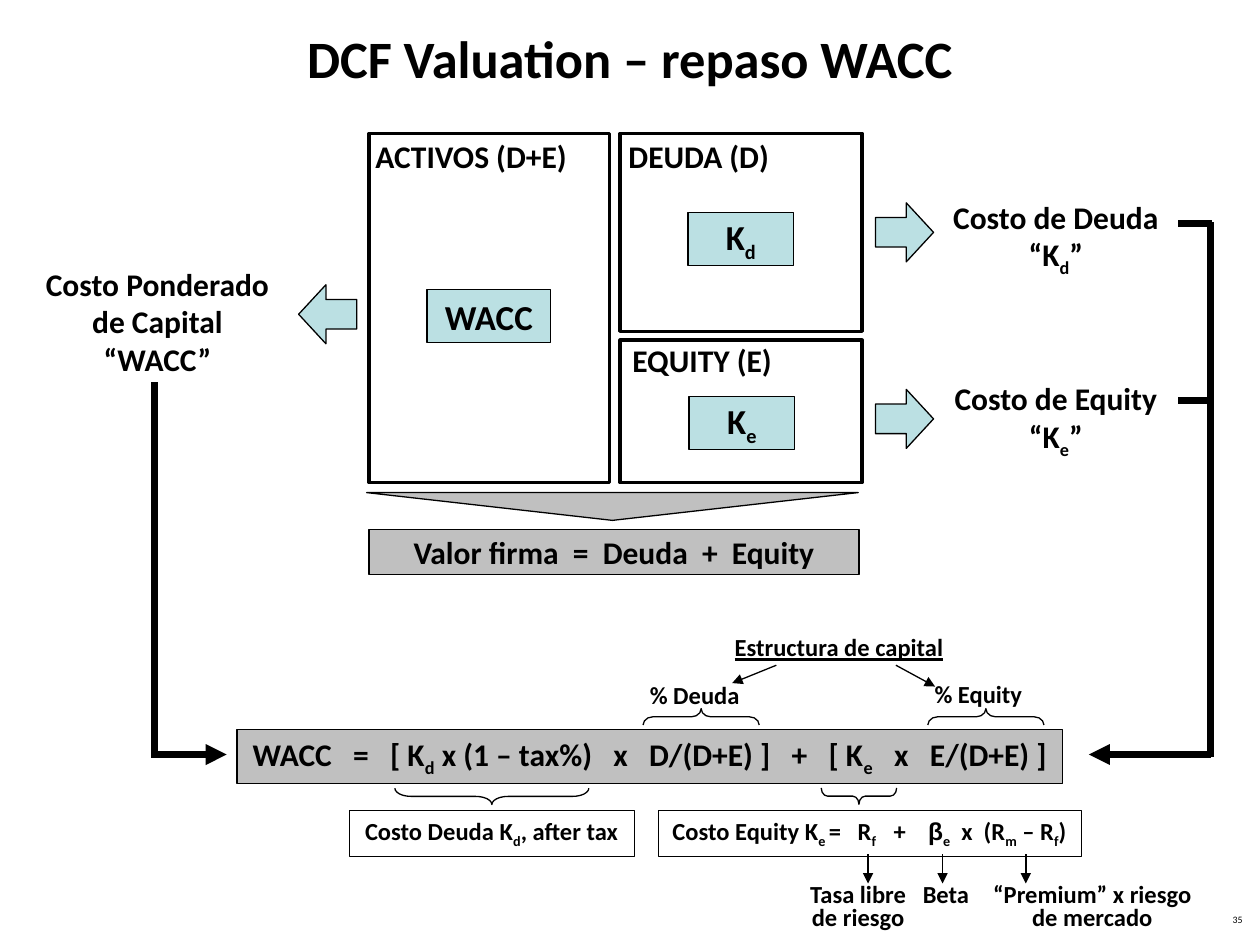
"""Builds the WACC review slide: capital structure, cost of capital and formula."""
from lxml import etree
from pptx import Presentation
from pptx import util as u
from pptx.dml import color
from pptx.enum import shapes, text
from pptx.oxml import ns

COLORS = {"ink": "000000", "paper": "FFFFFF", "accent": "BBE0E3", "band": "C0C0C0"}
KIND = shapes.MSO_SHAPE
LEFT, CENTER, RIGHT = text.PP_ALIGN.LEFT, text.PP_ALIGN.CENTER, text.PP_ALIGN.RIGHT
TOP, MIDDLE = text.MSO_ANCHOR.TOP, text.MSO_ANCHOR.MIDDLE


def draw(kind, place, fill, width, rotation=0):
    """Adds a preset shape with an ink outline; place is in centimetres."""
    shape = slide.shapes.add_shape(kind, *map(u.Cm, place))
    shape.shadow.inherit = False
    shape.rotation = rotation
    if fill:
        shape.fill.solid()
        shape.fill.fore_color.rgb = color.RGBColor.from_string(COLORS[fill])
    else:
        shape.fill.background()
    shape.line.color.rgb = color.RGBColor.from_string(COLORS["ink"])
    shape.line.width = u.Pt(width)
    return shape


def write(shape, wording, size, align=CENTER, anchor=TOP, wrap=True, spacing=None, bold=True, underline=None):
    """Fills a shape with runs; every second part between underscores is subscript."""
    frame = shape.text_frame
    frame.word_wrap = wrap
    frame.vertical_anchor = anchor
    paragraph = frame.paragraphs[0]
    paragraph.alignment = align
    if spacing:
        paragraph.line_spacing = spacing
    for index, part in enumerate(wording.split("_")):
        if not part:
            continue
        run = paragraph.add_run()
        run.text = part
        run.font.name = "Arial" if part == "β" else "Calibri"
        run.font.size = u.Pt(size)
        run.font.bold = bold
        run.font.underline = underline
        run.font.color.rgb = color.RGBColor.from_string(COLORS["ink"])
        if index % 2:
            run.font._element.set("baseline", "-25000")


deck = Presentation()
deck.slide_width, deck.slide_height = u.Cm(25.4), u.Cm(19.05)
slide = deck.slides.add_slide(deck.slide_layouts[6])

page_number = slide.shapes.add_textbox(u.Cm(19.38), u.Cm(18.34), u.Cm(5.92), u.Cm(0.53))
write(page_number, "35", 5.6, RIGHT, spacing=0.8, bold=False)
title = slide.shapes.add_textbox(0, 0, u.Cm(25.4), u.Cm(2.31))
write(title, "DCF Valuation – repaso WACC", 30, anchor=MIDDLE)

for block in [(7.44, 2.69, 4.85, 7.04), (12.5, 2.69, 4.88, 3.99), (12.5, 6.86, 4.88, 2.87)]:
    draw(KIND.RECTANGLE, block, "paper", 2)

for wording, place in [
    ("DEUDA (D)", (12.42, 2.64, 3.35, 1.02)),
    ("EQUITY (E)", (12.5, 6.76, 3.33, 1.02)),
    ("ACTIVOS (D+E)", (7.32, 2.64, 4.37, 1.02)),
]:
    heading = slide.shapes.add_textbox(*map(u.Cm, place))
    write(heading, wording, 18, LEFT, wrap=False)

for wording, place, fill, size in [
    ("WACC", (8.61, 5.84, 2.49, 1.07), "accent", 20),
    ("K_d_", (13.87, 4.29, 2.13, 1.07), "accent", 20),
    ("K_e_", (13.89, 8, 2.13, 1.07), "accent", 20),
    ("WACC   =   [ K_d_ x (1 – tax%)   x   D/(D+E) ]   +   [ K_e_   x   E/(D+E) ]",
     (4.78, 14.71, 16.64, 1.09), "band", 18),
    ("Valor firma  =  Deuda  +  Equity", (7.44, 10.67, 9.88, 0.91), "band", 18),
]:
    write(draw(KIND.RECTANGLE, place, fill, 0.75), wording, size, anchor=MIDDLE, wrap=False)

brace_depth = 0.33
for left, top, span, rotation in [
    (9.75, 14.1, 3.91, 90),
    (17.15, 15.29, 1.52, 90),
    (13.97, 13.28, 2.34, 270),
    (19.71, 13.28, 2.34, 270),
]:
    brace = draw(KIND.RIGHT_BRACE, (left, top, brace_depth, span), None, 0.75, rotation)
    brace.adjustments[0] = span / 12 / brace_depth

draw(KIND.ISOSCELES_TRIANGLE, (7.39, 9.93, 9.91, 0.56), "band", 0.75, 180)

for left, top, rotation in [(17.65, 4.09, 0), (17.65, 7.85, 0), (6.02, 5.74, 180)]:
    arrow = draw(KIND.RIGHT_ARROW, (left, top, 1.17, 1.19), "accent", 0.75, rotation)
    arrow.adjustments[0], arrow.adjustments[1] = 0.5, 0.47

for wording, place, size, align, spacing, underline in [
    ("% Deuda", (12.85, 13.59, 2.64, 0.86), 14, LEFT, None, None),
    ("% Equity", (18.59, 13.56, 2.29, 0.86), 14, LEFT, None, None),
    ("Estructura de capital", (14.35, 12.62, 5.13, 0.86), 14, CENTER, None, True),
    ("Costo de Deuda “K_d_”", (18.72, 3.86, 5.13, 1.88), 18, CENTER, None, None),
    ("Costo de Equity “K_e_”", (18.72, 7.52, 5.13, 1.88), 18, CENTER, None, None),
    ("Costo Ponderado de Capital “WACC”", (0.61, 5.21, 5.13, 2.54), 18, CENTER, None, None),
    ("Tasa libre de riesgo", (15.98, 17.7, 2.64, 1.22), 14, CENTER, 0.8, None),
    ("Beta", (18.31, 17.7, 1.52, 0.74), 14, CENTER, 0.8, None),
    ("“Premium” x riesgo de mercado", (19.71, 17.7, 4.62, 1.22), 14, CENTER, 0.8, None),
]:
    caption = slide.shapes.add_textbox(*map(u.Cm, place))
    write(caption, wording, size, align, spacing=spacing, underline=underline)

for wording, left, width in [
    ("Costo Deuda K_d_, after tax", 7.04, 5.74),
    ("Costo Equity K_e _=   R_f  _  +    __β_e_  x  (R_m_ – R_f_)", 13.26, 8.53),
]:
    write(draw(KIND.RECTANGLE, (left, 16.33, width, 0.94), None, 0.25), wording, 14)

thin, thick = 0.75, 4
for ends, width, headed in [
    ((15.65, 13.41, 14.76, 13.77), thin, True),
    ((18.06, 13.41, 18.85, 13.84), thin, True),
    *[((x, 17.22, x, 17.81), thin, True) for x in (17.5, 19, 20.68)],
    ((3.05, 15.21, 4.57, 15.21), thick, True),
    ((3.12, 15.24, 3.12, 7.7), thick, False),
    ((24.41, 15.27, 24.41, 4.47), thick, False),
    ((24.41, 15.21, 21.95, 15.21), thick, True),
    *[((23.75, y, 24.43, y), thick, False) for y in (4.5, 8.08)],
]:
    link = slide.shapes.add_connector(shapes.MSO_CONNECTOR.STRAIGHT, *map(u.Cm, ends))
    link.line.color.rgb = color.RGBColor.from_string(COLORS["ink"])
    link.line.width = u.Pt(width)
    if headed:
        etree.SubElement(link.line._get_or_add_ln(), ns.qn("a:tailEnd"), type="triangle")
    etree.SubElement(link._element.spPr, ns.qn("a:effectLst"))

deck.save("out.pptx")
